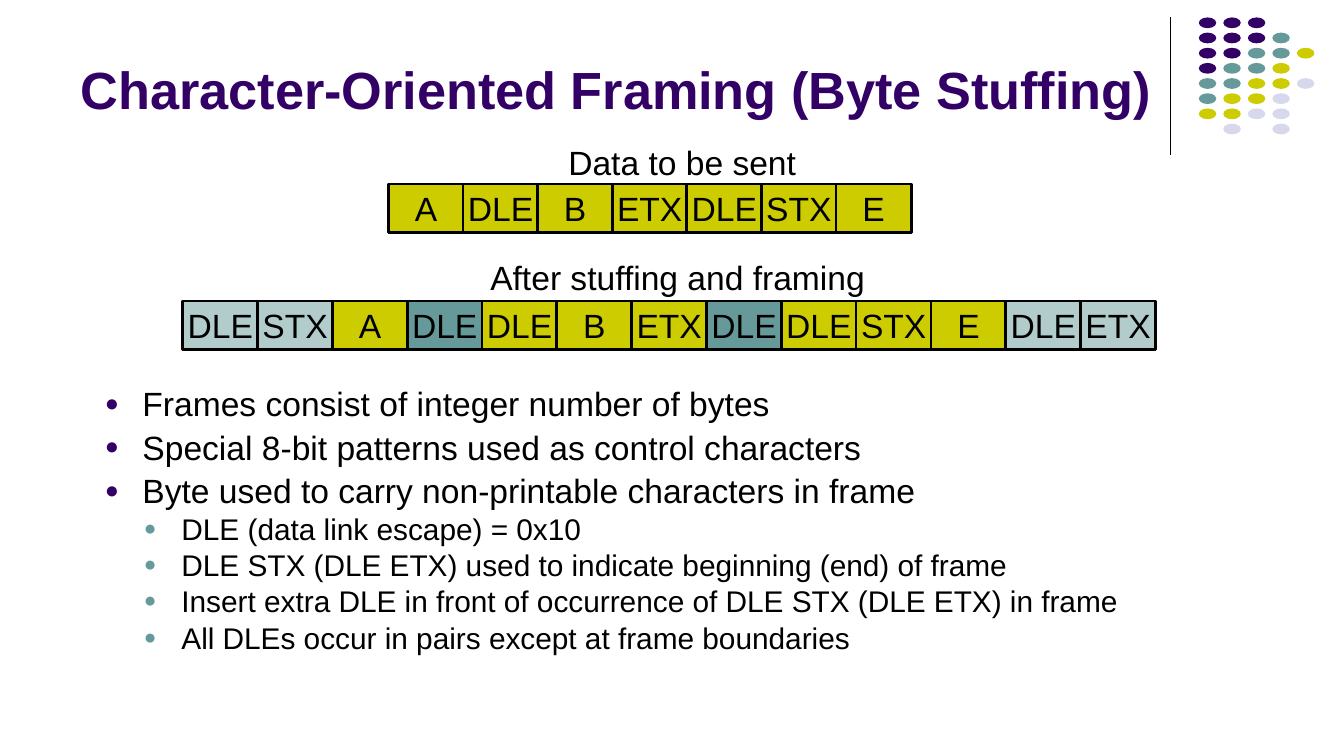
from lxml.etree import SubElement
from pptx import Presentation
from pptx.dml.color import RGBColor
from pptx.enum.shapes import MSO_CONNECTOR, MSO_SHAPE
from pptx.enum.text import MSO_ANCHOR, MSO_AUTO_SIZE, PP_ALIGN
from pptx.oxml.ns import qn
from pptx.util import Inches, Pt

BLACK, PURPLE, TEAL = "000000", "330066", "669999"
YELLOW, LAVENDER, PALE_TEAL = "CCCC00", "D8D8EC", "B1CCCB"
CELL_WIDTH, CELL_HEIGHT = 0.56, 0.36


def rgb(color):
    return RGBColor.from_string(color)


def add_span(para, text, size, color=BLACK, bold=False):
    span = para.add_run()
    span.text = text
    span.font.name = "Arial"
    span.font.size = Pt(size)
    span.font.bold = bold
    span.font.color.rgb = rgb(color)


deck = Presentation()
deck.slide_width = Inches(10)
deck.slide_height = deck.slide_width * 9 // 16
page = deck.slides.add_slide(deck.slide_layouts[1])

# Corner decoration: a vertical rule and a grid of dots
rule = page.shapes.add_connector(
    MSO_CONNECTOR.STRAIGHT, Inches(8.71), Inches(0.13), Inches(8.71), Inches(1.15))
rule.line.color.rgb = rgb(BLACK)
rule.line.width = Pt(0.75)
SubElement(rule._element.spPr, qn("a:effectLst"))

dot_colors = {"P": PURPLE, "T": TEAL, "Y": YELLOW, "L": LAVENDER}
dot_rows = ["PPP", "PPPT", "PPTTY", "PTTY", "TTYYL", "TYYL", "YYLL", " L L"]
for row, letters in enumerate(dot_rows):
    for column, letter in enumerate(letters):
        if letter == " ":
            continue
        dot = page.shapes.add_shape(
            MSO_SHAPE.OVAL, Inches(8.92 + column * 0.73 / 4),
            Inches(0.13 + row * 0.79 / 7), Inches(0.13), Inches(0.08))
        dot.shadow.inherit = False
        dot.fill.solid()
        dot.fill.fore_color.rgb = rgb(dot_colors[letter])
        dot.line.fill.background()

# Byte sequences: label and its box, left of the first and last cell, top, cells
data, stuffed, framing = YELLOW, TEAL, PALE_TEAL
sequences = [
    ("Data to be sent", (4.13, 1.01, 1.92), (2.89, 6.22), 1.37,
     [("A", data), ("DLE", data), ("B", data), ("ETX", data),
      ("DLE", data), ("STX", data), ("E", data)]),
    ("After stuffing and framing", (3.55, 1.86, 3), (1.36, 8.04), 2.24,
     [("DLE", framing), ("STX", framing), ("A", data), ("DLE", stuffed),
      ("DLE", data), ("B", data), ("ETX", data), ("DLE", stuffed),
      ("DLE", data), ("STX", data), ("E", data), ("DLE", framing),
      ("ETX", framing)]),
]
for label, (label_left, label_top, label_width), (first, last), top, cells in sequences:
    box = page.shapes.add_textbox(
        Inches(label_left), Inches(label_top), Inches(label_width), Inches(0.4))
    box.text_frame.word_wrap = False
    box.text_frame.auto_size = MSO_AUTO_SIZE.SHAPE_TO_FIT_TEXT
    add_span(box.text_frame.paragraphs[0], label, 18)
    pitch = (last - first) / (len(cells) - 1)
    for index, (name, color) in enumerate(cells):
        cell = page.shapes.add_shape(
            MSO_SHAPE.RECTANGLE, Inches(first + index * pitch), Inches(top),
            Inches(CELL_WIDTH), Inches(CELL_HEIGHT))
        cell.shadow.inherit = False
        cell.fill.solid()
        cell.fill.fore_color.rgb = rgb(color)
        cell.line.color.rgb = rgb(BLACK)
        cell.line.width = Pt(1.5)
        cell.text_frame.word_wrap = False
        cell.text_frame.vertical_anchor = MSO_ANCHOR.MIDDLE
        para = cell.text_frame.paragraphs[0]
        para.alignment = PP_ALIGN.CENTER
        add_span(para, name, 18)

# Title
title = page.shapes.title
title.left, title.top = Inches(0.5), Inches(0.1)
title.width, title.height = Inches(8.52), Inches(0.84)
title.text_frame.auto_size = MSO_AUTO_SIZE.NONE
title.text_frame.vertical_anchor = MSO_ANCHOR.BOTTOM
para = title.text_frame.paragraphs[0]
para.alignment = PP_ALIGN.LEFT
add_span(para, "Character-Oriented Framing (Byte Stuffing)", 28, PURPLE, bold=True)

# Bulleted list
body = page.placeholders[1]
body.left, body.top = Inches(0.68), Inches(2.86)
body.width, body.height = Inches(8.68), Inches(2.2)
body.text_frame.auto_size = MSO_AUTO_SIZE.NONE
points = [
    (0, "Frames consist of integer number of bytes"),
    (0, "Special 8-bit patterns used as control characters"),
    (0, "Byte used to carry non-printable characters in frame"),
    (1, "DLE (data link escape) = 0x10"),
    (1, "DLE STX (DLE ETX) used to indicate beginning (end) of frame"),
    (1, "Insert extra DLE in front of occurrence of DLE STX (DLE ETX) in frame"),
    (1, "All DLEs occur in pairs except at frame boundaries"),
]
# Text size, space before, left margin and bullet colour of each level
levels = [(18, 6, 0.28, PURPLE), (16, 4, 0.57, TEAL)]
for index, (level, text) in enumerate(points):
    size, space, margin, bullet_color = levels[level]
    para = body.text_frame.add_paragraph() if index else body.text_frame.paragraphs[0]
    para.level = level
    para.line_spacing = 0.8
    para.space_before = Pt(space)
    properties = para._p.get_or_add_pPr()
    properties.set("marL", str(Inches(margin)))
    properties.set("indent", str(Inches(-0.28)))
    SubElement(SubElement(properties, qn("a:buClr")), qn("a:srgbClr"), val=bullet_color)
    SubElement(properties, qn("a:buSzPct"), val="70000")
    SubElement(properties, qn("a:buFont"), typeface="Arial")
    SubElement(properties, qn("a:buChar"), char="●")
    add_span(para, text, size)

deck.save("out.pptx")
